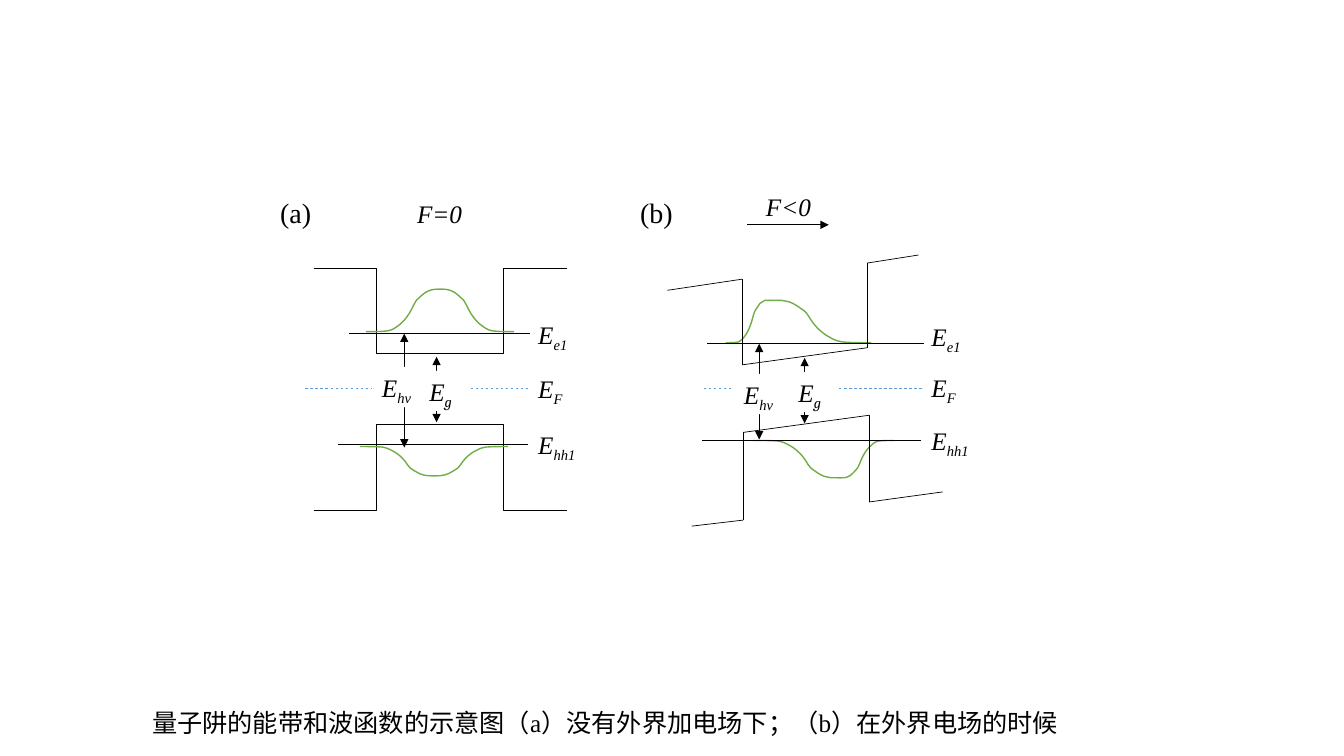
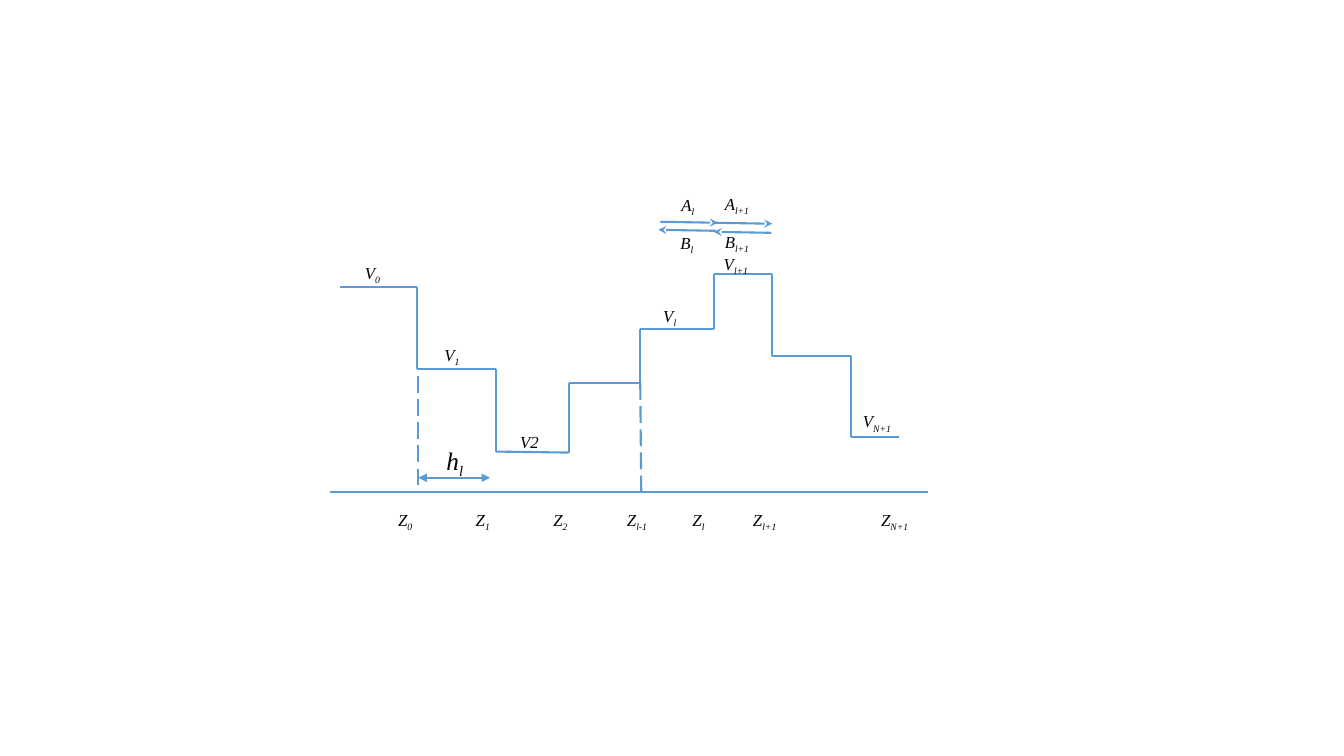
from itertools import pairwise

from lxml.etree import SubElement
from pptx import Presentation
from pptx.dml.color import RGBColor
from pptx.enum.dml import MSO_LINE as Dash
from pptx.enum.shapes import MSO_CONNECTOR as Conn, MSO_SHAPE as Shape
from pptx.enum.text import MSO_ANCHOR as Anchor, MSO_AUTO_SIZE as AutoSize, PP_ALIGN as Align
from pptx.oxml.ns import qn
from pptx.util import Inches, Pt

BLACK = RGBColor(0x00, 0x00, 0x00)
WHITE = RGBColor(0xFF, 0xFF, 0xFF)
BLUE = RGBColor(0x5B, 0x9B, 0xD5)
GREEN = RGBColor(0x70, 0xAD, 0x47)
FONT = "Times New Roman"

# Half of a wave function from its tail (0, 0) to its peak (1, 1):
# the start, then three Bezier points for each segment
HALF_WAVE = [
    (0, 0),
    (0.1, 0), (0.21, 0), (0.29, 0.02),
    (0.36, 0.05), (0.4, 0.12), (0.45, 0.19),
    (0.51, 0.29), (0.55, 0.4), (0.58, 0.5),
    (0.61, 0.6), (0.62, 0.67), (0.65, 0.74),
    (0.69, 0.81), (0.73, 0.88), (0.77, 0.93),
    (0.81, 0.98), (0.84, 0.98), (0.88, 1),
    (0.92, 1), (1, 1), (1, 1),
]


def add_text(s, x, y, w, text, sub="", size=18, italic=True, align=Align.LEFT,
             fill=None, sub_font=FONT, wrap=True):
    """Text with an optional subscript; its height follows the font size."""
    box = [Inches(v) for v in (x, y, w, round(size / 60 + 0.1, 2))]
    if fill is None:
        sp = s.shapes.add_textbox(*box)
    else:
        sp = s.shapes.add_shape(Shape.RECTANGLE, *box)
        sp.shadow.inherit = False
        sp.fill.solid()
        sp.fill.fore_color.rgb = fill
        sp.line.fill.background()
    tf = sp.text_frame
    tf.word_wrap = wrap
    tf.auto_size = AutoSize.SHAPE_TO_FIT_TEXT
    tf.vertical_anchor = Anchor.TOP
    p = tf.paragraphs[0]
    p.alignment = align
    for part, font in ((text, FONT), (sub, sub_font)):
        if not part:
            continue
        r = p.add_run()
        r.text = part
        r.font.name = font
        r.font.size = Pt(size)
        r.font.italic = italic
        r.font.color.rgb = BLACK
        if part is sub:
            r.font._element.set("baseline", "-25000")


def add_line(s, start, end, color=BLACK, width=0.5, dash=None, head=None, tail=None,
             kind=Conn.STRAIGHT):
    c = s.shapes.add_connector(kind, *[Inches(v) for v in (*start, *end)])
    c.line.color.rgb = color
    c.line.width = Pt(width)
    if dash:
        c.line.dash_style = dash
    ln = c.line._get_or_add_ln()
    for tag, arrow in (("a:headEnd", head), ("a:tailEnd", tail)):
        if arrow:
            SubElement(ln, qn(tag), type=arrow)
    SubElement(c._element.spPr, qn("a:effectLst"))


def add_double_arrow(s, start, end, **fmt):
    add_line(s, start, end, head="triangle", tail="triangle", **fmt)


def add_half_wave(s, x, y, peak_x, peak_y):
    pts = [(Inches(x + u * (peak_x - x)), Inches(y + v * (peak_y - y)))
           for u, v in HALF_WAVE]
    builder = s.shapes.build_freeform(*pts[0])
    builder.add_line_segments(pts[1:], close=False)
    sp = builder.convert_to_shape()
    sp.shadow.inherit = False
    sp.fill.background()
    sp.line.color.rgb = GREEN
    sp.line.width = Pt(1)
    # Join each three straight segments into one curve
    segments = list(sp._element.iter(qn("a:lnTo")))
    for i in range(0, len(segments), 3):
        parent = segments[i].getparent()
        curve = SubElement(parent, qn("a:cubicBezTo"))
        for seg in segments[i:i + 3]:
            curve.append(seg[0])
            parent.remove(seg)


def add_gap_labels(s, hv, eg):
    """White boxes that interrupt the gap arrows."""
    add_text(s, *eg, 0.49, "E", "g", fill=WHITE, sub_font="Cambria")
    add_text(s, *hv, 0.56, "E", "hv", fill=WHITE)


def add_level_labels(s, x, tops):
    for sub, y in zip(("e1", "F", "hh1"), tops):
        add_text(s, x, y, 0.74, "E", sub)


def flat_well(s):
    add_text(s, 2.68, 1.89, 0.51, "(a)", size=20, italic=False, wrap=False)
    add_text(s, 3.63, 1.92, 1.46, "F=0", align=Align.CENTER)
    # Well walls
    for outer_y, inner_y in ((2.66, 3.51), (5.06, 4.21)):
        for x in (3.11, 5.62):
            add_line(s, (x, outer_y), (4.36, inner_y), kind=Conn.ELBOW)
    # Levels
    add_line(s, (3.46, 3.31), (5.26, 3.31))
    add_line(s, (3.35, 4.41), (5.24, 4.41))
    add_line(s, (3.03, 3.85), (5.24, 3.85), color=BLUE, dash=Dash.DASH)
    add_level_labels(s, 5.24, (3.12, 3.65, 4.21))
    # Wave functions
    for wave in ((3.63, 3.29, 4.4, 2.87), (5.1, 3.29, 4.33, 2.87),
                 (5.04, 4.43, 4.27, 4.72), (3.57, 4.43, 4.34, 4.72)):
        add_half_wave(s, *wave)
    # Gaps
    add_double_arrow(s, (4.33, 3.54), (4.33, 4.19))
    add_double_arrow(s, (4.01, 3.31), (4.01, 4.44))
    add_gap_labels(s, (3.69, 3.64), (4.16, 3.68))


def tilted_well(s):
    add_text(s, 6.25, 1.89, 0.53, "(b)", size=20, italic=False, wrap=False)
    add_text(s, 7.09, 1.85, 1.46, "F<0", align=Align.CENTER)
    add_line(s, (7.41, 2.23), (8.22, 2.23), tail="triangle")
    # Wave functions
    for wave in ((8.64, 3.4, 7.63, 2.98), (7.2, 3.4, 7.64, 2.98),
                 (7.47, 4.37, 8.35, 4.74), (8.87, 4.37, 8.31, 4.74)):
        add_half_wave(s, *wave)
    # Well walls
    conduction = [(6.62, 2.88), (7.36, 2.77), (7.36, 3.62), (8.6, 3.45), (8.6, 2.61), (9.11, 2.53)]
    valence = [(6.86, 5.22), (7.37, 5.16), (7.37, 4.29), (8.62, 4.12), (8.62, 4.98), (9.35, 4.88)]
    for band in (conduction, valence):
        for start, end in pairwise(band):
            add_line(s, start, end)
    # Levels
    add_line(s, (9.16, 3.41), (7.01, 3.41))
    add_line(s, (9.13, 4.37), (6.96, 4.37))
    add_line(s, (9.14, 3.85), (6.96, 3.85), color=BLUE, dash=Dash.DASH)
    add_level_labels(s, 9.14, (3.14, 3.64, 4.17))
    # Gaps
    add_double_arrow(s, (7.53, 3.41), (7.53, 4.36))
    add_double_arrow(s, (7.98, 3.55), (7.98, 4.2))
    add_gap_labels(s, (7.28, 3.71), (7.82, 3.69))


def wells_slide(s):
    add_text(s, 1.41, 6.97, 9.73,
             "量子阱的能带和波函数的示意图（a）没有外界加电场下；（b）在外界电场的时候",
             italic=False)
    flat_well(s)
    tilted_well(s)


def steps_slide(s):
    blue = {"color": BLUE, "width": 1.5}
    # Potential steps
    steps = [(3.37, 2.85), (4.14, 2.85), (4.14, 3.66), (4.92, 3.66),
             (4.92, 4.48), (5.64, 4.49), (5.64, 3.8), (6.35, 3.8),
             (6.35, 3.26), (7.08, 3.26), (7.08, 2.72), (7.66, 2.72),
             (7.66, 3.53), (8.44, 3.53), (8.44, 4.34), (8.92, 4.34)]
    for start, end in pairwise(steps):
        add_line(s, start, end, **blue)
    # Axis, borders and layer width
    add_line(s, (3.27, 4.88), (9.2, 4.88), **blue)
    add_line(s, (4.15, 3.73), (4.15, 4.88), dash=Dash.LONG_DASH, **blue)
    add_line(s, (6.35, 3.8), (6.36, 4.88), dash=Dash.LONG_DASH, **blue)
    add_double_arrow(s, (4.15, 4.74), (4.86, 4.74), **blue)
    add_text(s, 4.33, 4.37, 0.45, "h", "l")
    # Travelling waves
    for x, y in ((6.55, 2.2), (7.09, 2.21)):
        add_line(s, (x, y), (x + 0.57, y + 0.01), tail="stealth", **blue)
    for x, y in ((6.53, 2.28), (7.08, 2.3)):
        add_line(s, (x, y), (x + 0.57, y + 0.01), head="stealth", **blue)
    # Labels
    labels = [("V", "0", 3.52, 2.56), ("V", "1", 4.31, 3.37), ("V2", "", 5.06, 4.23),
              ("V", "l", 6.48, 2.98), ("V", "l+1", 7.08, 2.47), ("V", "N+1", 8.46, 4.03),
              ("A", "l", 6.66, 1.88), ("A", "l+1", 7.09, 1.87),
              ("B", "l", 6.65, 2.26), ("B", "l+1", 7.09, 2.25)]
    borders = {"0": 3.85, "1": 4.62, "2": 5.39, "l-1": 6.12, "l": 6.77, "l+1": 7.37, "N+1": 8.64}
    labels += [("Z", sub, x, 5.01) for sub, x in borders.items()]
    for name, sub, x, y in labels:
        add_text(s, x, y, 0.6, name, sub, size=12)


def main():
    prs = Presentation()
    prs.slide_width, prs.slide_height = Inches(13.33), Inches(7.5)
    blank = prs.slide_layouts[6]
    for build in (wells_slide, steps_slide):
        build(prs.slides.add_slide(blank))
    prs.save("out.pptx")


main()
